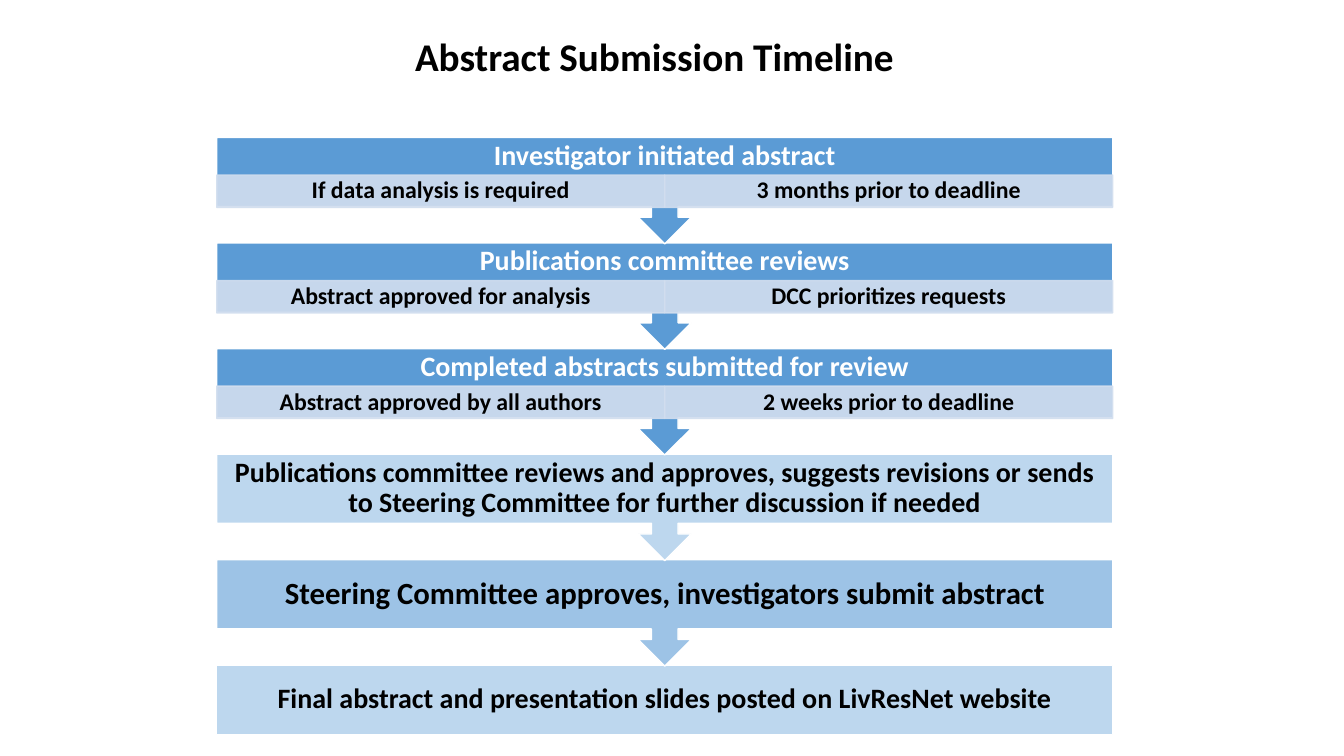
from lxml import etree
from pptx import Presentation
from pptx import util as u
from pptx.dml.color import RGBColor
from pptx.enum import shapes, text
from pptx.oxml.ns import qn

BLUE, MID, LIGHT, PALE = "5B9BD5", "9DC3E6", "BDD7EE", "D2DEEF"
BLACK, WHITE = "000000", "FFFFFF"
LEFT, TOP, WIDTH, PITCH = 154.8, 98.2, 640, 75.4
BODY_HEIGHT, CALLOUT_HEIGHT = 49.4, 76
HEADER_HEIGHT, DETAIL_HEIGHT = 26.8, 23.1

# heading, fill, text colour, text size, details
STEPS = [
    ("Investigator initiated abstract", BLUE, WHITE, 20,
     ["If data analysis is required", "3 months prior to deadline"]),
    ("Publications committee reviews", BLUE, WHITE, 20,
     ["Abstract approved for analysis", "DCC prioritizes requests"]),
    ("Completed abstracts submitted for review", BLUE, WHITE, 20,
     ["Abstract approved by all authors", "2 weeks prior to deadline"]),
    ("Publications committee reviews and approves, suggests revisions or sends "
     "to Steering Committee for further discussion if needed", LIGHT, BLACK, 20, []),
    ("Steering Committee approves, investigators submit abstract", MID, BLACK, 22, []),
    ("Final abstract and presentation slides posted on LivResNet website",
     LIGHT, BLACK, 20, []),
]


def color(value):
    return RGBColor.from_string(value)


def set_attributes(target, values):
    for name, value in values.items():
        setattr(target, name, value)


def write(box, words, size, ink=BLACK, align=text.PP_ALIGN.CENTER, **frame_format):
    frame = box.text_frame
    set_attributes(frame, {"word_wrap": True,
                           "vertical_anchor": text.MSO_ANCHOR.MIDDLE, **frame_format})
    para = frame.paragraphs[0]
    set_attributes(para, {"alignment": align, "line_spacing": 0.9})
    span = para.add_run()
    span.text = words
    set_attributes(span.font, {"name": "Calibri", "size": u.Pt(size), "bold": True})
    span.font.color.rgb = color(ink)


def add_block(page, kind, place, fill, line, opacity=100):
    block = page.shapes.add_shape(kind, *map(u.Pt, place))
    block.shadow.inherit = False
    block.fill.solid()
    block.fill.fore_color.rgb = color(fill)
    block.line.color.rgb = color(line)
    block.line.width = u.Pt(1)
    if opacity < 100:
        for tint in block._element.spPr.iter(qn("a:srgbClr")):
            etree.SubElement(tint, qn("a:alpha")).set("val", str(opacity * 1000))
    return block


def add_heading(page, place, words, size, ink):
    box = page.shapes.add_textbox(*map(u.Pt, place))
    write(box, words, size, ink, margin_left=u.Pt(11.5), margin_right=u.Pt(11.5),
          margin_top=0, margin_bottom=0)


def add_details(page, top, details):
    width = WIDTH / len(details)
    for column, words in enumerate(details):
        place = (LEFT + column * width, top, width, DETAIL_HEIGHT)
        cell = add_block(page, shapes.MSO_SHAPE.RECTANGLE, place, PALE, PALE, 90)
        write(cell, words, 17, margin_left=u.Pt(9), margin_right=u.Pt(9),
              margin_top=u.Pt(1.5), margin_bottom=u.Pt(1.5))


def add_step(page, index, heading, fill, ink, size, details):
    top = TOP + index * PITCH
    if index == len(STEPS) - 1:
        add_block(page, shapes.MSO_SHAPE.RECTANGLE,
                  (LEFT, top, WIDTH, BODY_HEIGHT), fill, WHITE)
    else:
        callout = add_block(page, shapes.MSO_SHAPE.UP_ARROW_CALLOUT,
                            (LEFT, top, WIDTH, CALLOUT_HEIGHT), fill, WHITE)
        callout.rotation = 180
    height = HEADER_HEIGHT if details else BODY_HEIGHT
    add_heading(page, (LEFT, top, WIDTH, height), heading, size, ink)
    if details:
        add_details(page, top + HEADER_HEIGHT, details)


def add_title(page, words):
    box = page.shapes.add_textbox(*map(u.Pt, (289.4, 19.4, 360, 41)))
    write(box, words, 28, align=text.PP_ALIGN.LEFT, word_wrap=False,
          vertical_anchor=text.MSO_ANCHOR.TOP,
          auto_size=text.MSO_AUTO_SIZE.SHAPE_TO_FIT_TEXT)
    box.text_frame.paragraphs[0].line_spacing = 1.0


def main():
    deck = Presentation()
    set_attributes(deck, {"slide_width": u.Pt(960), "slide_height": u.Pt(540)})
    page = deck.slides.add_slide(deck.slide_layouts[6])
    # Bottom step first, so that each arrow lies over the step below it
    for index, step in reversed(list(enumerate(STEPS))):
        add_step(page, index, *step)
    add_title(page, "Abstract Submission Timeline")
    deck.save("out.pptx")


if __name__ == "__main__":
    main()
